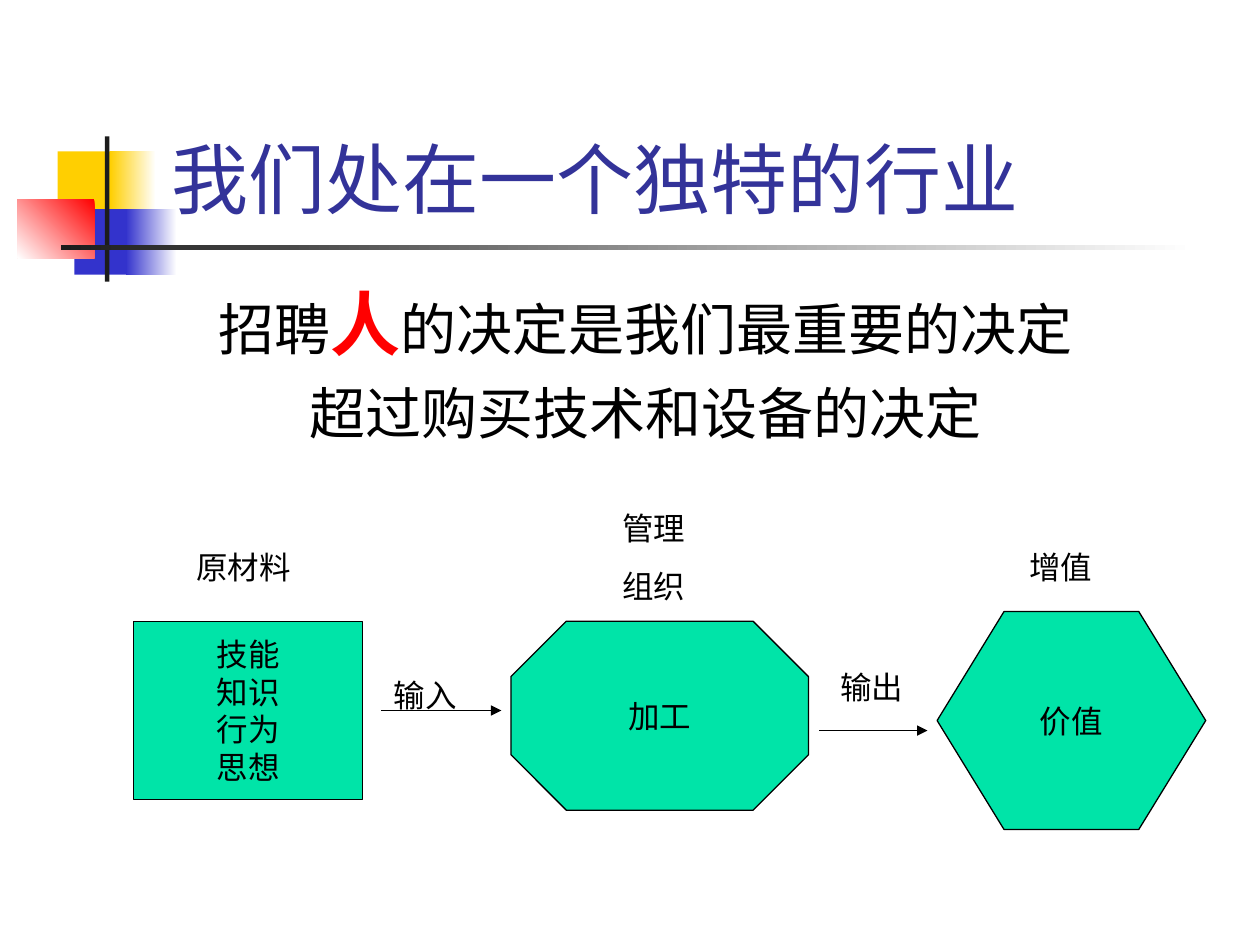
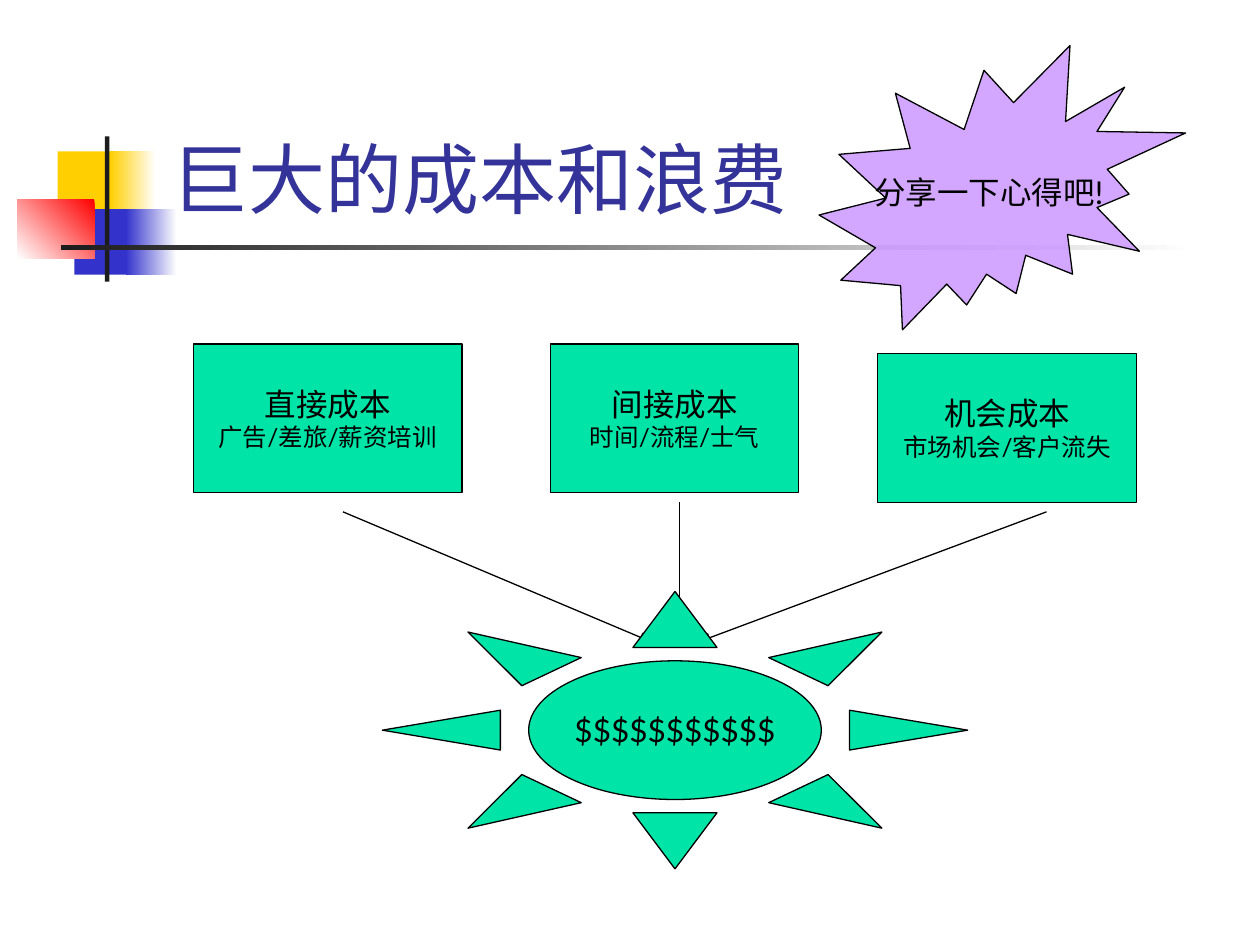
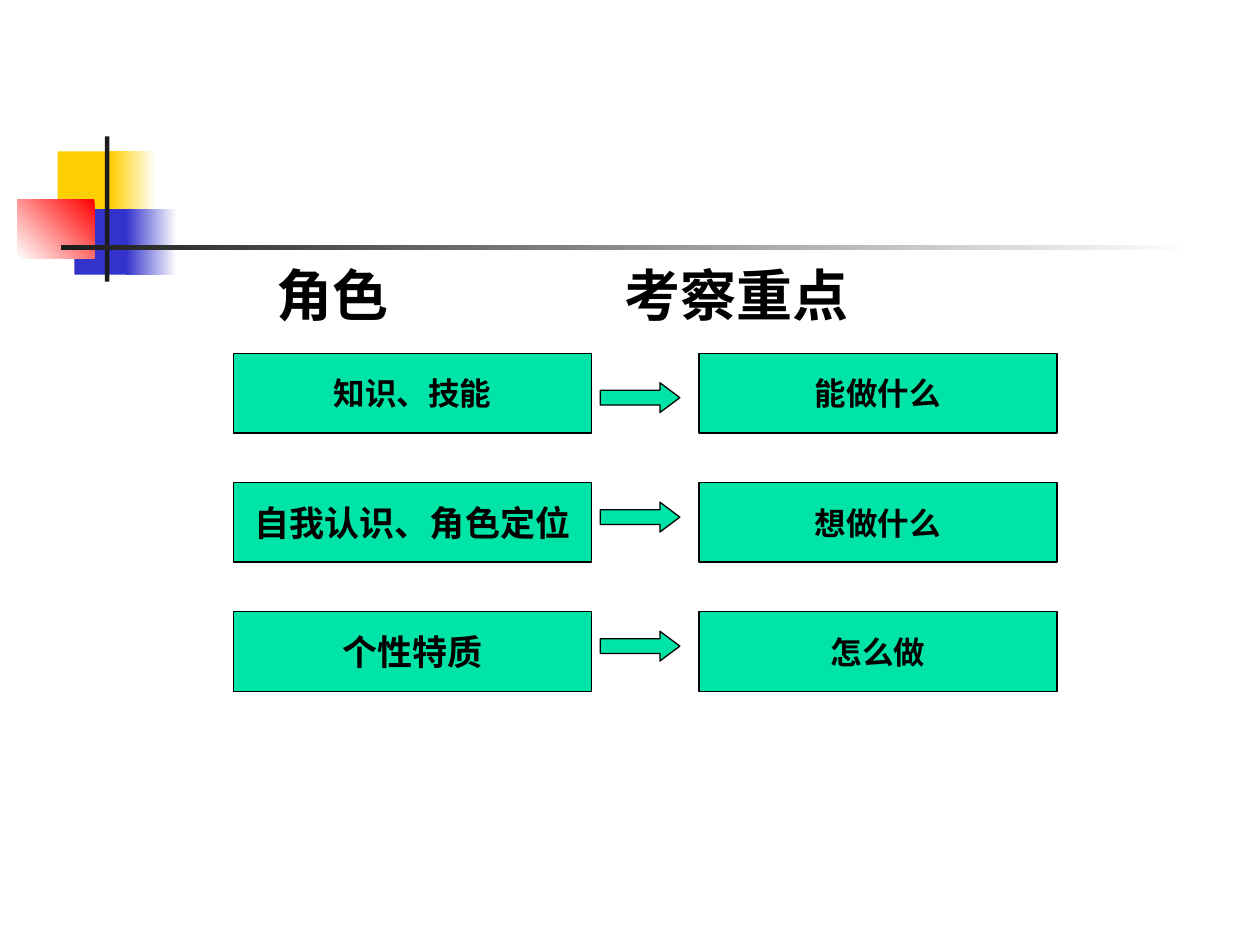
from lxml.etree import SubElement
from pptx import Presentation
from pptx.dml.color import RGBColor
from pptx.enum.shapes import MSO_CONNECTOR, MSO_SHAPE
from pptx.enum.text import MSO_ANCHOR, PP_ALIGN
from pptx.oxml.ns import qn
from pptx.util import Pt

COLORS = {
    "ink": "000000", "title": "333399", "accent": "FF0000", "node": "00E4A8",
    "burst": "CC99FF", "yellow": "FFCF01", "blue": "3333CC", "red": "FF0000",
    "dark": "1C1C1C", "white": "FFFFFF",
}
FONT = "Lato"
BASE = {"size": 18, "color": "ink", "bold": False}

# Shared band: left, top, width, height, fill colours, gradient angle
BAND = [
    (33, 86.5, 35, 37.5, ["yellow"], 0),
    (63, 86.5, 26, 37.5, ["white", "yellow"], 180),
    (42.5, 119.5, 33, 37.5, ["blue"], 0),
    (72, 119.5, 29, 37.5, ["white", "blue"], 180),
    (10, 114, 44, 33.5, ["red", "white"], 225),
    (60, 78, 2.5, 83, ["dark"], 0),
    (34.75, 140.25, 648, 2.5, ["white", "dark"], 180),
]
TITLE_AREA = (91, 16.5, 613, 115)

# Slide 1: process of adding value
INDUSTRY_TITLE = "我们处在一个独特的行业"
STATEMENT_AREA = (48.5, 157, 641, 324)
STATEMENT = [
    [("招聘", {}), ("人", {"size": 40, "color": "accent", "bold": True}),
     ("的决定是我们最重要的决定", {})],
    [("超过购买技术和设备的决定", {})],
]
STAGES = [
    (MSO_SHAPE.RECTANGLE, (76.5, 355, 130.5, 102), [], ["技能", "知识", "行为", "思想"]),
    (MSO_SHAPE.OCTAGON, (292, 355, 170, 108), [0.293], ["加工"]),
    (MSO_SHAPE.HEXAGON, (535.5, 349.5, 153.5, 124.5), [0.307], ["价值"]),
]
FLOWS = [(218, 406, 286.5, 406), (468, 417.5, 530, 417.5)]
LABELS = [
    ((218, 383, 62.5, 29), ["输入"]),
    ((473, 378, 51.5, 29), ["输出"]),
    ((105, 309.5, 73.5, 29), ["原材料"]),
    ((348.5, 287.5, 51.5, 62), ["管理", "组织"]),
    ((581, 309.5, 51.5, 29), ["增值"]),
]

# Slide 2: costs running into one sum
COST_TITLE = "巨大的成本和浪费"
COSTS = [
    ((110.5, 196.5, 153.5, 85), "直接成本", "广告/差旅/薪资培训", (196, 292.5, 371.5, 366.5)),
    ((314.5, 196.5, 142, 85), "间接成本", "时间/流程/士气", (388.5, 287, 388.5, 366.5)),
    ((501.5, 202, 148, 85), "机会成本", "市场机会/客户流失", (598, 292.5, 400, 366.5)),
]
SUN_AREA, SUN_TEXT = (218.5, 338, 334.5, 158.5), "$$$$$$$$$$$"
BURST_AREA, BURST_TEXT = (468, 26, 209.5, 162.5), "分享一下心得吧!"

# Slide 3: roles and what to look for
HEADINGS = [(151, "角色"), (350, "考察重点")]
ROLES = [  # role, role text size, focus, arrow top
    ("知识、技能", 18, "能做什么", 218.75),
    ("自我认识、角色定位", 20, "想做什么", 287),
    ("个性特质", 20, "怎么做", 360.75),
]
ROLE_LEFT, FOCUS_LEFT, ARROW_LEFT = 133.5, 399.5, 343
ROLE_TOP, ROLE_STEP, ROLE_WIDTH, ROLE_HEIGHT = 202, 73.75, 204.5, 45.5


def rgb(name):
    return RGBColor.from_string(COLORS[name])


def points(values):
    return [Pt(value) for value in values]


def write(frame, paragraphs, align=PP_ALIGN.LEFT, space=0, **style):
    """Each paragraph is a string or a list of (text, format) spans."""
    for index, spans in enumerate(paragraphs):
        para = frame.paragraphs[0] if index == 0 else frame.add_paragraph()
        para.alignment = align
        para.space_before = Pt(space if index else 0)
        if isinstance(spans, str):
            spans = [(spans, {})]
        for text, changes in spans:
            look = {**BASE, **style, **changes}
            span = para.add_run()
            span.text = text
            values = {"name": FONT, "size": Pt(look["size"]), "bold": look["bold"]}
            for key, value in values.items():
                setattr(span.font, key, value)
            span.font.color.rgb = rgb(look["color"])
            SubElement(span.font._element, qn("a:ea"), typeface=FONT)


def add_text(page, area, paragraphs, anchor=MSO_ANCHOR.TOP, **style):
    frame = page.shapes.add_textbox(*points(area)).text_frame
    frame.word_wrap = True
    frame.vertical_anchor = anchor
    write(frame, paragraphs, **style)


def add_node(page, kind, area, paragraphs=(), fill="node", adjustments=(), **style):
    shape = page.shapes.add_shape(kind, *points(area))
    shape.shadow.inherit = False
    shape.fill.solid()
    shape.fill.fore_color.rgb = rgb(fill)
    shape.line.color.rgb = rgb("ink")
    shape.line.width = Pt(0.75)
    for index, value in enumerate(adjustments):
        shape.adjustments[index] = value
    frame = shape.text_frame
    frame.word_wrap = False
    frame.vertical_anchor = MSO_ANCHOR.MIDDLE
    write(frame, paragraphs, align=PP_ALIGN.CENTER, **style)
    return shape


def add_arrow(page, ends):
    arrow = page.shapes.add_connector(MSO_CONNECTOR.STRAIGHT, *points(ends))
    arrow.line.color.rgb = rgb("ink")
    arrow.line.width = Pt(0.75)
    properties = arrow.element.spPr
    SubElement(properties.find(qn("a:ln")), qn("a:tailEnd"), type="triangle")
    SubElement(properties, qn("a:effectLst"))


def add_page(deck, title=None):
    page = deck.slides.add_slide(deck.slide_layouts[6])
    for *area, fills, angle in BAND:
        block = page.shapes.add_shape(MSO_SHAPE.RECTANGLE, *points(area))
        block.shadow.inherit = False
        block.line.fill.background()
        if len(fills) == 1:
            block.fill.solid()
            block.fill.fore_color.rgb = rgb(fills[0])
        else:
            block.fill.gradient()
            block.fill.gradient_angle = angle
            for stop, name in zip(block.fill.gradient_stops, fills):
                stop.color.rgb = rgb(name)
    if title:
        add_text(page, TITLE_AREA, [title], MSO_ANCHOR.BOTTOM, size=44, color="title")
    return page


def build_industry(deck):
    page = add_page(deck, INDUSTRY_TITLE)
    add_text(page, STATEMENT_AREA, STATEMENT, align=PP_ALIGN.CENTER, space=8, size=32)
    for kind, area, adjustments, lines in STAGES:
        add_node(page, kind, area, lines, adjustments=adjustments)
    for ends in FLOWS:
        add_arrow(page, ends)
    for area, lines in LABELS:
        add_text(page, area, lines, space=11.2)


def build_costs(deck):
    page = add_page(deck, COST_TITLE)
    for area, name, detail, ends in COSTS:
        add_node(page, MSO_SHAPE.RECTANGLE, area, [name, [(detail, {"size": 14})]])
        add_arrow(page, ends)
    add_node(page, MSO_SHAPE.SUN, SUN_AREA, [SUN_TEXT])
    burst = add_node(page, MSO_SHAPE.EXPLOSION2, BURST_AREA, [BURST_TEXT], fill="burst")
    tint = burst.element.spPr.find(qn("a:solidFill")).find(qn("a:srgbClr"))
    SubElement(tint, qn("a:alpha"), val="86000")


def build_roles(deck):
    page = add_page(deck)
    for left, heading in HEADINGS:
        add_text(page, (left, 145.5, 160, 46), [heading], size=32, bold=True)
    for row, (role, size, focus, arrow_top) in enumerate(ROLES):
        top = ROLE_TOP + row * ROLE_STEP
        for left, text, text_size in ((ROLE_LEFT, role, size), (FOCUS_LEFT, focus, 18)):
            add_node(page, MSO_SHAPE.RECTANGLE, (left, top, ROLE_WIDTH, ROLE_HEIGHT),
                     [text], size=text_size, bold=True)
        add_node(page, MSO_SHAPE.RIGHT_ARROW, (ARROW_LEFT, arrow_top, 45.5, 17),
                 adjustments=[0.5, 0.667])


def main():
    deck = Presentation()
    deck.slide_width, deck.slide_height = Pt(720), Pt(540)
    for build in (build_industry, build_costs, build_roles):
        build(deck)
    deck.save("out.pptx")


if __name__ == "__main__":
    main()
